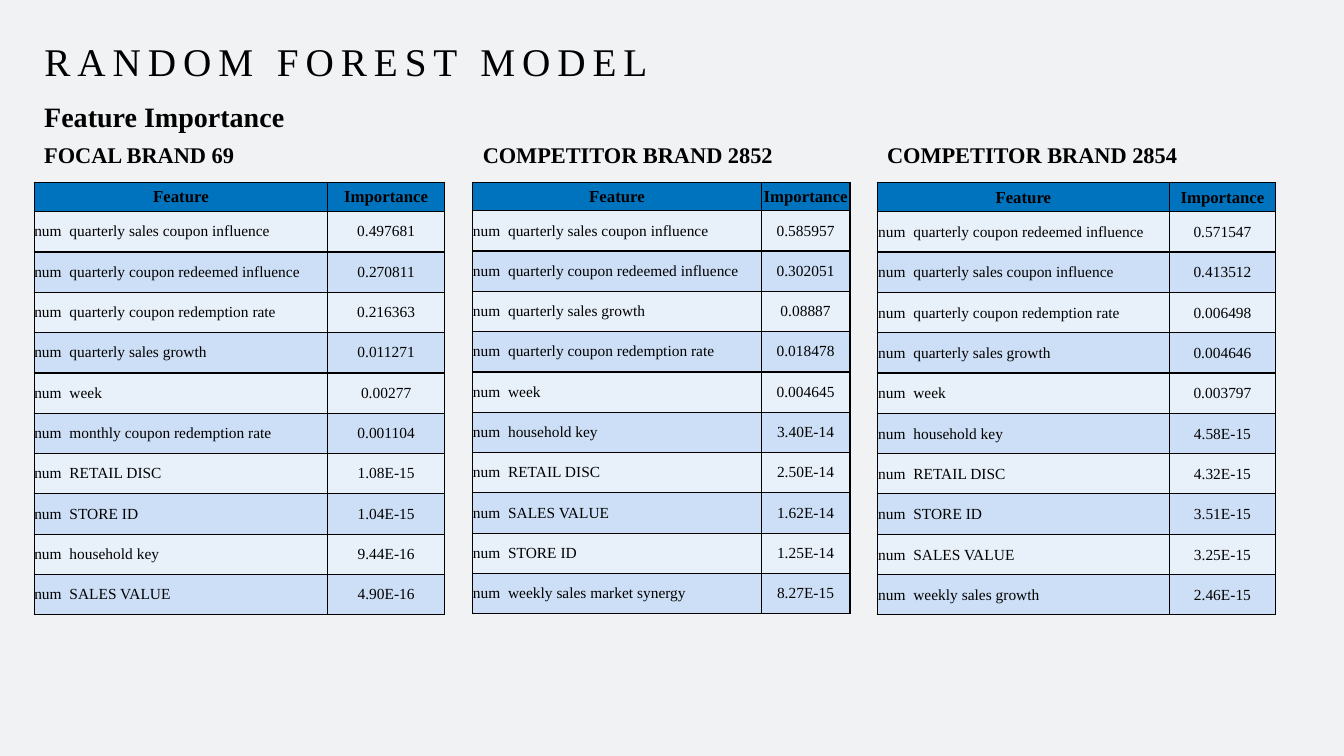
from lxml.etree import SubElement
from pptx import Presentation
from pptx.dml.color import RGBColor
from pptx.enum.text import MSO_ANCHOR as Anchor, MSO_AUTO_SIZE as AutoSize, PP_ALIGN as Align
from pptx.oxml.ns import qn
from pptx.util import Inches, Pt

FONT = "Times New Roman"
BLACK, HEADER_BLUE = "000000", "0073BF"
BAND_FILLS = ["E8F0FA", "CDDFF6"]
BACKGROUND = "F0F2F3"
LEFT = 0.34
HEADING_TOP, TABLE_TOP = 1.35, 1.81
ROW_HEIGHT = 0.4

# heading, left, column widths, header height, cell margin, (feature, importance) rows
BRANDS = [
    ("FOCAL BRAND 69", LEFT, (2.91, 1.16), 0.29, 0, [
        ("quarterly sales coupon influence", "0.497681"),
        ("quarterly coupon redeemed influence", "0.270811"),
        ("quarterly coupon redemption rate", "0.216363"),
        ("quarterly sales growth", "0.011271"),
        ("week", "0.00277"),
        ("monthly coupon redemption rate", "0.001104"),
        ("RETAIL DISC", "1.08E-15"),
        ("STORE ID", "1.04E-15"),
        ("household key", "9.44E-16"),
        ("SALES VALUE", "4.90E-16"),
    ]),
    ("COMPETITOR BRAND 2852", 4.69, (2.86, 0.88), 0.28, 0, [
        ("quarterly sales coupon influence", "0.585957"),
        ("quarterly coupon redeemed influence", "0.302051"),
        ("quarterly sales growth", "0.08887"),
        ("quarterly coupon redemption rate", "0.018478"),
        ("week", "0.004645"),
        ("household key", "3.40E-14"),
        ("RETAIL DISC", "2.50E-14"),
        ("SALES VALUE", "1.62E-14"),
        ("STORE ID", "1.25E-14"),
        ("weekly sales market synergy", "8.27E-15"),
    ]),
    ("COMPETITOR BRAND 2854", 8.7, (2.9, 1.05), 0.29, 0.01, [
        ("quarterly coupon redeemed influence", "0.571547"),
        ("quarterly sales coupon influence", "0.413512"),
        ("quarterly coupon redemption rate", "0.006498"),
        ("quarterly sales growth", "0.004646"),
        ("week", "0.003797"),
        ("household key", "4.58E-15"),
        ("RETAIL DISC", "4.32E-15"),
        ("STORE ID", "3.51E-15"),
        ("SALES VALUE", "3.25E-15"),
        ("weekly sales growth", "2.46E-15"),
    ]),
]


def paint(color_format, hex_color):
    color_format.rgb = RGBColor.from_string(hex_color)


def write(frame, text, size, bold=False, align=Align.LEFT):
    frame.text = text
    paragraph = frame.paragraphs[0]
    paragraph.alignment = align
    font = paragraph.runs[0].font
    font.name, font.size, font.bold = FONT, Pt(size), bold
    paint(font.color, BLACK)
    return paragraph


def add_title(slide, left, top, width, height):
    title = slide.shapes.title
    title.left, title.top = Inches(left), Inches(top)
    title.width, title.height = Inches(width), Inches(height)
    frame = title.text_frame
    frame.word_wrap = True
    frame.auto_size = AutoSize.NONE
    frame.vertical_anchor = Anchor.MIDDLE
    paragraph = write(frame, "RANDOM FOREST MODEL", 28)
    paragraph.line_spacing = 1.2
    paragraph.runs[0].font._element.set("spc", "500")


def add_heading(slide, text, size, left, top, width, height):
    heading = slide.shapes.add_textbox(
        Inches(left), Inches(top), Inches(width), Inches(height))
    frame = heading.text_frame
    frame.word_wrap = True
    frame.auto_size = AutoSize.SHAPE_TO_FIT_TEXT
    write(frame, text, size, bold=True)


def outline_cell(cell):
    properties = cell._tc.get_or_add_tcPr()
    for side in ("a:lnL", "a:lnR", "a:lnT", "a:lnB"):
        line = SubElement(properties, qn(side), w=str(Pt(1)))
        SubElement(SubElement(line, qn("a:solidFill")), qn("a:srgbClr"), val=BLACK)


def fill_cell(cell, text, fill, margin, align, size=11, bold=False):
    outline_cell(cell)
    cell.fill.solid()
    paint(cell.fill.fore_color, fill)
    cell.margin_left = cell.margin_right = cell.margin_top = Inches(margin)
    cell.margin_bottom = 0
    cell.vertical_anchor = Anchor.MIDDLE
    write(cell.text_frame, text, size, bold, align)


def add_importance_table(slide, left, top, widths, header_height, margin, features):
    height = header_height + ROW_HEIGHT * len(features)
    table = slide.shapes.add_table(
        len(features) + 1, len(widths), Inches(left), Inches(top),
        Inches(sum(widths)), Inches(height)).table
    for column, width in zip(table.columns, widths):
        column.width = Inches(width)
    for row in table.rows:
        row.height = Inches(ROW_HEIGHT)
    table.rows[0].height = Inches(header_height)

    for col, label in enumerate(("Feature", "Importance")):
        fill_cell(table.cell(0, col), label, HEADER_BLUE, margin, Align.CENTER, 12, True)
    for index, (feature, importance) in enumerate(features):
        band = BAND_FILLS[index % 2]
        fill_cell(table.cell(index + 1, 0), f"num  {feature}", band, margin, Align.LEFT)
        fill_cell(table.cell(index + 1, 1), importance, band, margin, Align.CENTER)


def add_brand(slide, heading, left, widths, header_height, margin, features):
    add_heading(slide, heading, 16, left, HEADING_TOP, 4.23, 0.37)
    add_importance_table(slide, left, TABLE_TOP, widths, header_height, margin, features)


def main():
    deck = Presentation()
    deck.slide_width, deck.slide_height = Inches(13.33), Inches(7.5)
    slide = deck.slides.add_slide(deck.slide_layouts.get_by_name("Title Only"))
    slide.background.fill.solid()
    paint(slide.background.fill.fore_color, BACKGROUND)

    add_title(slide, LEFT, 0.16, 12.11, 0.79)
    add_heading(slide, "Feature Importance", 20, LEFT, 0.94, 3.3, 0.44)
    for brand in BRANDS:
        add_brand(slide, *brand)
    deck.save("out.pptx")


if __name__ == "__main__":
    main()
